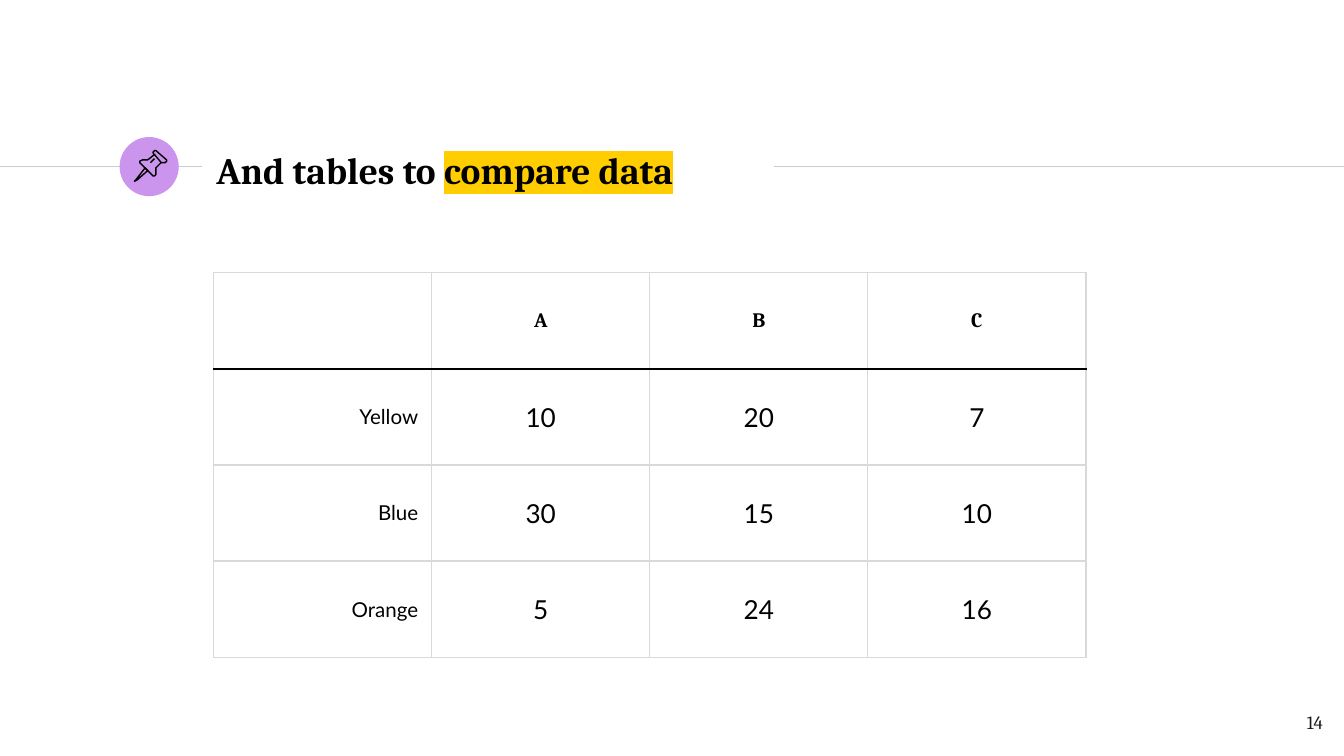
"""Build a slide with a pinned title and a table that compares data."""
import pptx
import pptx.util
import pptx.dml.color
import pptx.enum.shapes
import pptx.enum.text
import pptx.oxml
import pptx.oxml.ns

Inches, Pt = pptx.util.Inches, pptx.util.Pt
RGBColor = pptx.dml.color.RGBColor
Align = pptx.enum.text.PP_ALIGN
Anchor = pptx.enum.text.MSO_ANCHOR

BLACK = RGBColor(0x00, 0x00, 0x00)
INK = RGBColor(0x1D, 0x1D, 0x1B)
RULE = RGBColor(0xCC, 0xCC, 0xCC)
GRID = RGBColor(0xD9, 0xD9, 0xD9)
LILAC = RGBColor(0xCC, 0x95, 0xED)
GOLD = RGBColor(0xFF, 0xCD, 0x00)
SERIF, SANS = "Cambria", "Lato"

WIDTH = 10
HEIGHT = WIDTH * 9 / 16
TITLE = [("And tables to ", None), ("compare data", GOLD)]
NUMBER = "14"
ROWS = [
    ["", "A", "B", "C"],
    ["Yellow", "10", "20", "7"],
    ["Blue", "30", "15", "10"],
    ["Orange", "5", "24", "16"],
]
RULES = [(0, 1.5), (5.76, WIDTH)]
RULE_Y = 1.24
PIN = [
    ([(108, 125), (101, 134), (100, 135), (102, 134), (110, 127)], True),
    ([(115, 115), (120, 121), (122, 121), (123, 121), (124, 120), (124, 119),
      (116, 112), (115, 112), (114, 113), (114, 114)], True),
    ([(115, 115), (110, 119), (108, 119), (106, 119), (104, 120), (104, 121),
      (114, 131), (115, 131), (116, 130), (116, 128), (116, 125), (120, 121)], False),
    ([(112, 121), (115, 118)], False),
]


def write(frame, runs, size=11, font=SERIF, color=BLACK, bold=False,
          align=Align.LEFT):
    para = frame.paragraphs[0]
    para.alignment = align
    for text, mark in runs:
        run = para.add_run()
        run.text = text
        run.font.size, run.font.bold = Pt(size), bold
        run.font.color.rgb = color
        run.font.name = font
        if mark:
            latin = run.font._element.find(pptx.oxml.ns.qn("a:latin"))
            latin.addprevious(pptx.oxml.parse_xml(
                f'<a:highlight {pptx.oxml.ns.nsdecls("a")}>'
                f'<a:srgbClr val="{mark}"/></a:highlight>'))


def inset(frame, anchor):
    frame.word_wrap = True
    frame.auto_size = pptx.enum.text.MSO_AUTO_SIZE.NONE
    frame.vertical_anchor = anchor
    frame.margin_left = frame.margin_right = Inches(0.1)
    frame.margin_top = frame.margin_bottom = Inches(0.1)


def place(shape, *box):
    shape.left, shape.top, shape.width, shape.height = map(Inches, box)


def edge(cell, **colors):
    props = cell._tc.get_or_add_tcPr()
    for side in "LRTB":
        props.append(pptx.oxml.parse_xml(
            f'<a:ln{side} {pptx.oxml.ns.nsdecls("a")} w="{Pt(0.75)}">'
            f'<a:solidFill><a:srgbClr val="{colors.get(side, GRID)}"/></a:solidFill>'
            f'</a:ln{side}>'))


def draw_rules(shapes):
    kind = pptx.enum.shapes.MSO_CONNECTOR.STRAIGHT
    for start, end in RULES:
        line = shapes.add_connector(kind, Inches(start), Inches(RULE_Y),
                                    Inches(end), Inches(RULE_Y))
        line.line.color.rgb, line.line.width = RULE, Pt(0.75)
        line._element.spPr.append(pptx.oxml.parse_xml(
            f'<a:effectLst {pptx.oxml.ns.nsdecls("a")}/>'))


def draw_disc(shapes):
    disc = shapes.add_shape(pptx.enum.shapes.MSO_SHAPE.OVAL, Inches(0.89),
                            Inches(1.02), Inches(0.44), Inches(0.44))
    disc.shadow.inherit = False
    disc.fill.solid()
    disc.fill.fore_color.rgb = LILAC
    disc.line.fill.background()


def draw_pin(shapes):
    for points, close in PIN:
        path = shapes.build_freeform(*points[0], scale=Inches(0.01))
        path.add_line_segments(points[1:], close=close)
        part = path.convert_to_shape()
        part.shadow.inherit = False
        part.fill.background()
        part.line.color.rgb, part.line.width = BLACK, Pt(0.75)


def draw_table(shapes):
    table = shapes.add_table(len(ROWS), len(ROWS[0]), Inches(1.59), Inches(2.03),
                             Inches(6.49), Inches(2.86)).table
    table.first_row = table.horz_banding = False
    for r, row in enumerate(ROWS):
        for c, text in enumerate(row):
            cell = table.cell(r, c)
            edge(cell, **({"B": BLACK} if r == 0 else {"T": BLACK} if r == 1 else {}))
            cell.fill.background()
            cell.vertical_anchor = Anchor.MIDDLE
            cell.margin_left = cell.margin_right = Inches(0.1)
            cell.margin_top = cell.margin_bottom = Inches(0.07)
            if text:
                write(cell.text_frame, [(text, None)],
                      size=14 if r and c else 11, font=SANS if r else SERIF,
                      bold=r == 0, align=Align.CENTER if c else Align.RIGHT)


def main():
    deck = pptx.Presentation()
    deck.slide_width, deck.slide_height = Inches(WIDTH), Inches(HEIGHT)
    slide = deck.slides.add_slide(deck.slide_layouts[5])
    shapes = slide.shapes
    draw_rules(shapes)
    draw_disc(shapes)

    title = shapes.title
    place(title, 1.51, 1.02, 4.24, 0.48)
    inset(title.text_frame, Anchor.MIDDLE)
    write(title.text_frame, TITLE, size=20, bold=True)

    page = shapes.add_textbox(0, 0, 0, 0)
    place(page, 9.34, 5.19, 0.6, 0.43)
    inset(page.text_frame, Anchor.TOP)
    write(page.text_frame, [(NUMBER, None)], size=10, color=INK, align=Align.RIGHT)

    draw_table(shapes)
    draw_pin(shapes)
    deck.save("out.pptx")


if __name__ == "__main__":
    main()
